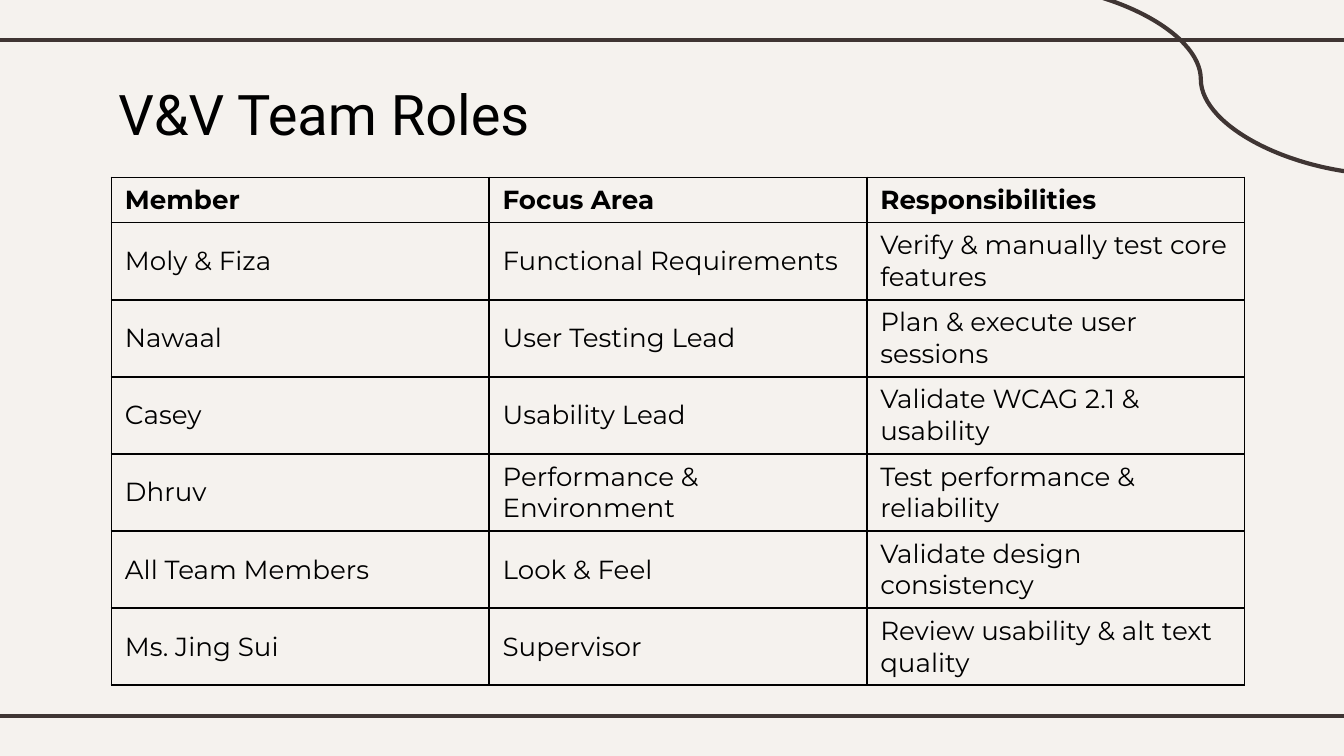
from pptx import Presentation
from pptx.dml.color import RGBColor
from pptx.enum.shapes import MSO_CONNECTOR
from pptx.enum.text import MSO_ANCHOR, PP_ALIGN
from pptx.oxml.ns import qn
from pptx.util import Inches, Pt
from lxml.etree import SubElement

# Content
TITLE = "V&V Team Roles"
ROWS = [
    ("Member", "Focus Area", "Responsibilities"),
    ("Moly & Fiza", "Functional Requirements", "Verify & manually test core features"),
    ("Nawaal", "User Testing Lead", "Plan & execute user sessions"),
    ("Casey", "Usability Lead", "Validate WCAG 2.1 & usability"),
    ("Dhruv", "Performance & Environment", "Test performance & reliability"),
    ("All Team Members", "Look & Feel", "Validate design consistency"),
    ("Ms. Jing Sui", "Supervisor", "Review usability & alt text quality"),
]
PAPER, BROWN, BLACK = "F5F2EE", "3F3533", "000000"
LINES = [
    (MSO_CONNECTOR.STRAIGHT, (-0.08, 0.3, 10.08, 0.3)),
    (MSO_CONNECTOR.STRAIGHT, (-0.08, 5.33, 10.08, 5.33)),
    (MSO_CONNECTOR.CURVE, (7.53, -0.12, 10.34, 1.3)),
]
LEFT, TOP, COL = 0.83, 1.32, 2.81
HEAD, BODY = 0.33, 0.57


def color(code):
    return RGBColor.from_string(code)


def style(para, face, size, bold=False):
    font = para.font
    font.name, font.size, font.bold = face, Pt(size), bold
    font.color.rgb = color(BLACK)
    para.alignment = PP_ALIGN.LEFT


def border(cell):
    props = cell._tc.get_or_add_tcPr()
    for i, side in enumerate(("lnL", "lnR", "lnT", "lnB")):
        line = props.makeelement(qn("a:" + side), {"w": str(Pt(1))})
        fill = SubElement(line, qn("a:solidFill"))
        SubElement(fill, qn("a:srgbClr"), val=BLACK)
        props.insert(i, line)


# Slide (16:9) and background
deck = Presentation()
deck.slide_width = Inches(10)
deck.slide_height = Inches(10 * 9 / 16)
slide = deck.slides.add_slide(deck.slide_layouts[5])
back = slide.background.fill
back.solid()
back.fore_color.rgb = color(PAPER)

# Rules and corner curve
for kind, ends in LINES:
    line = slide.shapes.add_connector(kind, *map(Inches, ends))
    line.line.color.rgb = color(BROWN)
    line.line.width = Pt(2.25)
    SubElement(line._element.spPr, qn("a:effectLst"))

# Title
title = slide.shapes.title
title.left, title.top, title.width, title.height = map(Inches, (0.78, 0.49, 5.15, 0.63))
frame = title.text_frame
frame.text = TITLE
frame.word_wrap = True
frame.vertical_anchor = MSO_ANCHOR.TOP
frame.margin_left = frame.margin_right = Inches(0.1)
frame.margin_top = frame.margin_bottom = Inches(0.1)
style(frame.paragraphs[0], "Roboto", 30)

# Roles table
count, wide = len(ROWS), len(ROWS[0])
tall = HEAD + BODY * (count - 1)
table = slide.shapes.add_table(
    count, wide, Inches(LEFT), Inches(TOP), Inches(COL * wide), Inches(tall)
).table
table.horz_banding = False
for col in table.columns:
    col.width = Inches(COL)
for r, row in enumerate(ROWS):
    table.rows[r].height = Inches(BODY if r else HEAD)
    for c, text in enumerate(row):
        cell = table.cell(r, c)
        cell.text = text
        cell.vertical_anchor = MSO_ANCHOR.MIDDLE
        cell.fill.background()
        style(cell.text_frame.paragraphs[0], "Montserrat", 14, r == 0)
        border(cell)

deck.save("out.pptx")
